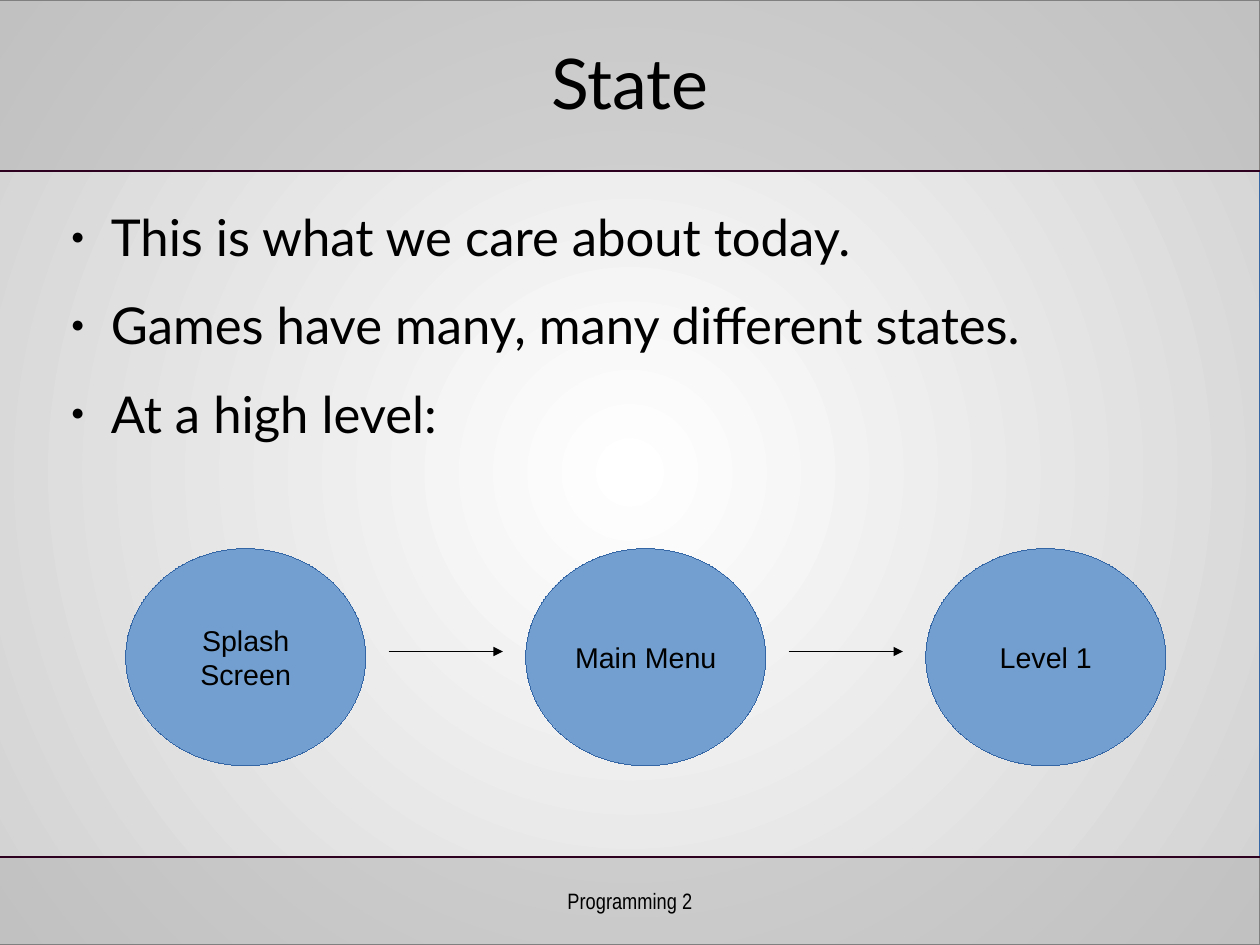
from lxml import etree
from pptx import Presentation
from pptx import util as u
from pptx.dml.color import RGBColor
from pptx.enum import shapes, text
from pptx.oxml import ns

COLOURS = {
    "centre": "FFFFFF", "edge": "D1D1D1", "band": "B2B2B2",
    "band_line": "808080", "rule": "2C001E", "text": "000000",
    "state": "729FCF", "state_line": "3465A4", "arrow": "000000",
}
WIDTH, HEIGHT = 793.7, 595.28
HEADER_BOTTOM, FOOTER_TOP = 107.8, 539.8


def colour(name):
    return RGBColor.from_string(COLOURS[name])


def add_element(parent, tag, **attributes):
    element = etree.SubElement(parent, ns.qn(tag))
    for name, value in attributes.items():
        element.set(name, str(value))
    return element


def write_text(shape, lines, size, font, align=None, anchor="MIDDLE",
               insets=(0, 0), wrap=True, bullet=None, before=0, after=0):
    frame = shape.text_frame
    frame.auto_size = text.MSO_AUTO_SIZE.NONE
    frame.word_wrap = wrap
    frame.vertical_anchor = getattr(text.MSO_ANCHOR, anchor)
    frame.margin_left = frame.margin_right = u.Pt(insets[0])
    frame.margin_top = frame.margin_bottom = u.Pt(insets[1])
    for index, line in enumerate(lines):
        paragraph = frame.paragraphs[0] if index == 0 else frame.add_paragraph()
        if bullet:
            add_bullet(paragraph, **bullet)
        if align:
            paragraph.alignment = getattr(text.PP_ALIGN, align)
        paragraph.space_before = u.Pt(before if index else 0)
        paragraph.space_after = u.Pt(after)
        run = paragraph.add_run()
        run.text = line
        run.font.size = u.Pt(size)
        run.font.name = font
        run.font.color.rgb = colour("text")


def add_bullet(paragraph, character, percent, left, hanging):
    properties = paragraph._p.get_or_add_pPr()
    properties.set("marL", str(u.Pt(left)))
    properties.set("indent", str(-u.Pt(hanging)))
    bullet_colour = add_element(properties, "a:buClr")
    add_element(bullet_colour, "a:srgbClr", val=COLOURS["text"])
    add_element(properties, "a:buSzPct", val=percent * 1000)
    add_element(properties, "a:buFont", typeface="Arial")
    add_element(properties, "a:buChar", char=character)


def place(shape, box):
    shape.left, shape.top, shape.width, shape.height = map(u.Pt, box)


def set_outline(shape, name, width):
    shape.line.color.rgb = colour(name)
    # A zero width has to be written out to give a hairline
    outline = shape.line._get_or_add_ln()
    outline.set("w", str(u.Pt(width)))
    return outline


def add_filled(slide, kind, box, fill, line):
    shape = slide.shapes.add_shape(kind, *map(u.Pt, box))
    shape.shadow.inherit = False
    shape.fill.solid()
    shape.fill.fore_color.rgb = colour(fill)
    set_outline(shape, line, 0)
    return shape


def add_line(slide, left, right, y, name, width, arrow=False):
    line = slide.shapes.add_connector(
        shapes.MSO_CONNECTOR.STRAIGHT, u.Pt(left), u.Pt(y), u.Pt(right), u.Pt(y))
    outline = set_outline(line, name, width)
    if arrow:
        add_element(outline, "a:tailEnd", type="triangle")
    add_element(line._element.spPr, "a:effectLst")


def add_backdrop(slide, box):
    # Radial gradient, light in the middle
    shape = add_filled(slide, shapes.MSO_SHAPE.RECTANGLE, box, "edge", "state_line")
    shape.fill.gradient()
    for stop, name in zip(shape.fill.gradient_stops, ("centre", "edge")):
        stop.color.rgb = colour(name)
    gradient = shape._element.spPr.find(ns.qn("a:gradFill"))
    gradient.remove(gradient.find(ns.qn("a:lin")))
    circle = add_element(gradient, "a:path", path="circle")
    add_element(circle, "a:fillToRect", l=50000, t=50000, r=50000, b=50000)


def add_band(slide, box, rule_y):
    # Translucent strip with a dark rule along its inner edge
    band = add_filled(slide, shapes.MSO_SHAPE.RECTANGLE, box, "band", "band_line")
    fill_colour = band._element.spPr.find(".//" + ns.qn("a:srgbClr"))
    add_element(fill_colour, "a:alpha", val=51000)
    add_line(slide, box[0], box[0] + box[2], rule_y, "rule", 1.45)
    return band


def fill_placeholders(slide, title, items, title_box, body_box):
    title_shape, body = slide.shapes.title, slide.placeholders[1]
    for shape, box in ((title_shape, title_box), (body, body_box)):
        place(shape, box)
        slide.shapes._spTree.append(shape._element)  # bring above the bands
    write_text(title_shape, [title], 44, "Lato", align="CENTER")
    write_text(body, items, 32, "Lato", align="LEFT", anchor="TOP",
               before=2.9, after=14.4,
               bullet=dict(character="●", percent=45, left=33.84, hanging=25.2))


def add_state_flow(slide, states, box):
    left, top, width, height = box
    state_width = 151.2
    step = (width - state_width) / (len(states) - 1)
    gap = 14.4
    arrow_y = top + height / 2 - 3.6
    for index, lines in enumerate(states):
        x = left + index * step
        state = add_filled(slide, shapes.MSO_SHAPE.OVAL,
                           (x, top, state_width, height), "state", "state_line")
        write_text(state, lines, 18, "Arial", align="CENTER",
                   insets=(7.2, 3.6), wrap=False)
        if index:
            add_line(slide, x - step + state_width + gap, x - gap,
                     arrow_y, "arrow", 0, arrow=True)


def main():
    presentation = Presentation()
    presentation.slide_width, presentation.slide_height = u.Pt(WIDTH), u.Pt(HEIGHT)
    slide = presentation.slides.add_slide(presentation.slide_layouts[1])

    # Backdrop, header and footer
    add_backdrop(slide, (0, 0, WIDTH, HEIGHT))
    add_band(slide, (0, 0, WIDTH, HEADER_BOTTOM), HEADER_BOTTOM)
    footer = add_band(slide, (0, FOOTER_TOP, WIDTH, HEIGHT - FOOTER_TOP), FOOTER_TOP)
    write_text(footer, ["Programming 2"], 14, "Arial Narrow",
               align="CENTER", wrap=False)

    # Title and list
    fill_placeholders(
        slide, "State",
        ["This is what we care about today.",
         "Games have many, many different states.",
         "At a high level:"],
        (39.6, 16.56, 714.24, 69.84), (36, 129.6, 717.84, 386.64))

    # Game states
    add_state_flow(slide, [["Splash", "Screen"], ["Main Menu"], ["Level 1"]],
                   (79.2, 345.6, 655.2, 136.8))
    presentation.save("out.pptx")


if __name__ == "__main__":
    main()
